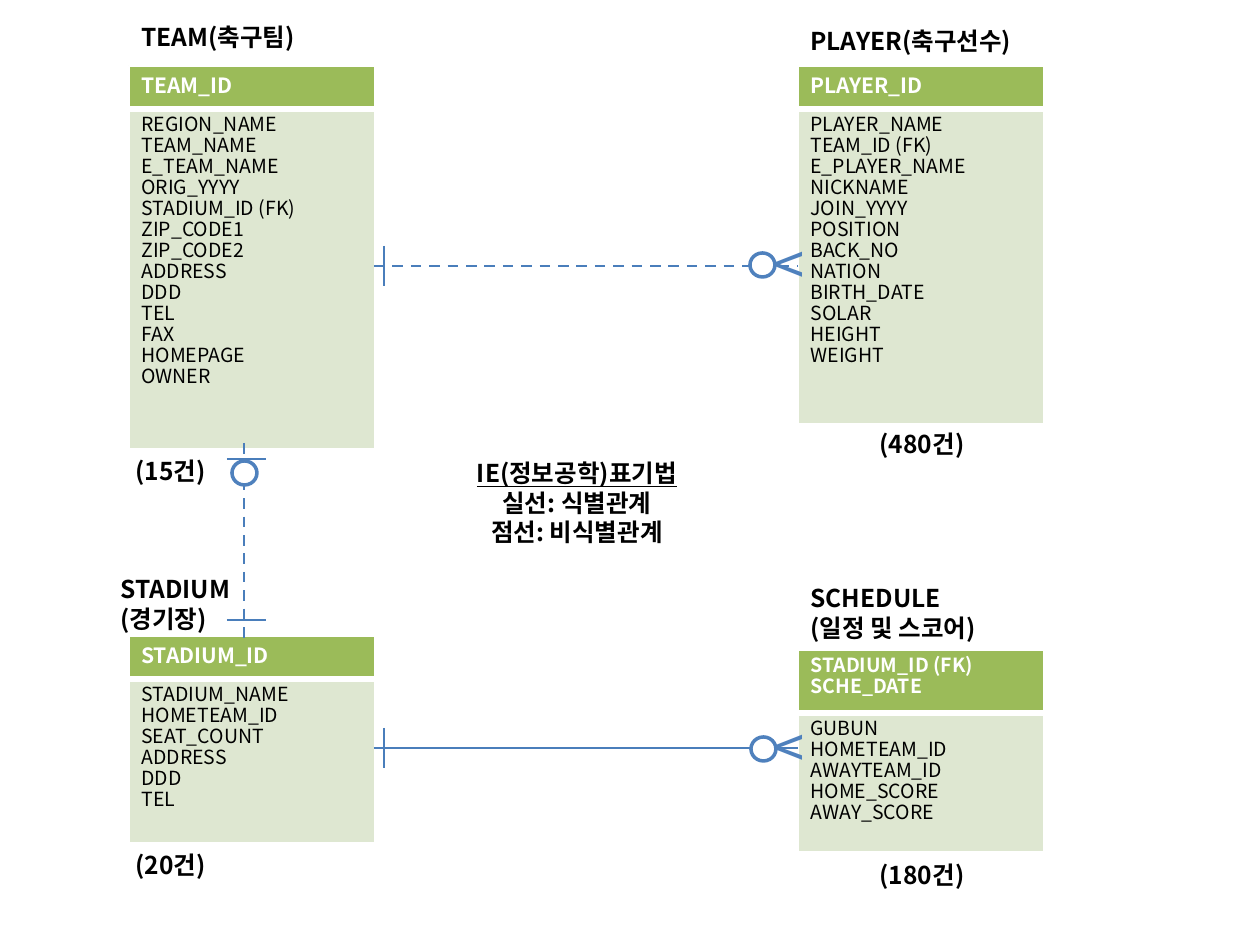
import pptx
import pptx.util
import pptx.dml.color
import pptx.enum.dml
import pptx.enum.shapes
import pptx.enum.text
import pptx.oxml.ns
import lxml.etree

RGB = pptx.dml.color.RGBColor
ALIGN = pptx.enum.text.PP_ALIGN
CONNECTOR = pptx.enum.shapes.MSO_CONNECTOR
SHAPE = pptx.enum.shapes.MSO_SHAPE

EMU_PER_PX = 914400 / 126
FONT = "Noto Sans CJK KR"
BLACK, WHITE = RGB(0, 0, 0), RGB(255, 255, 255)
KEY_GREEN, BODY_GREEN = RGB(0x9B, 0xBB, 0x59), RGB(0xDE, 0xE7, 0xD1)
LINE_BLUE, MARK_BLUE = RGB(0x4A, 0x7E, 0xBB), RGB(0x4F, 0x81, 0xBD)

LEFT, RIGHT, ENTITY_W = 129, 798, 246

ENTITIES = [
    dict(left=LEFT, top=66, key_h=43, body_h=340, key_size=12,
         title=["TEAM(축구팀)"], title_box=(129, 16, 198, 43),
         keys=["TEAM_ID"],
         columns=["REGION_NAME", "TEAM_NAME", "E_TEAM_NAME", "ORIG_YYYY",
                  "STADIUM_ID (FK)", "ZIP_CODE1", "ZIP_CODE2", "ADDRESS",
                  "DDD", "TEL", "FAX", "HOMEPAGE", "OWNER"],
         count="(15건)", count_box=(123, 450, 144, 43), count_align=ALIGN.LEFT),
    dict(left=LEFT, top=636, key_h=43, body_h=164, key_size=12,
         title=["STADIUM", "(경기장)"], title_box=(108, 568, 256, 72),
         keys=["STADIUM_ID"],
         columns=["STADIUM_NAME", "HOMETEAM_ID", "SEAT_COUNT", "ADDRESS",
                  "DDD", "TEL"],
         count="(20건)", count_box=(123, 844, 144, 43), count_align=ALIGN.LEFT),
    dict(left=RIGHT, top=650, key_h=63, body_h=139, key_size=11.1,
         title=["SCHEDULE", "(일정 및 스코어)"], title_box=(798, 577, 270, 72),
         keys=["STADIUM_ID (FK)", "SCHE_DATE"],
         columns=["GUBUN", "HOMETEAM_ID", "AWAYTEAM_ID", "HOME_SCORE",
                  "AWAY_SCORE"],
         count="(180건)", count_box=(808, 854, 228, 43), count_align=ALIGN.CENTER),
    dict(left=RIGHT, top=66, key_h=43, body_h=315, key_size=12,
         title=["PLAYER(축구선수)"], title_box=(798, 20, 270, 43),
         keys=["PLAYER_ID"],
         columns=["PLAYER_NAME", "TEAM_ID (FK)", "E_PLAYER_NAME", "NICKNAME",
                  "JOIN_YYYY", "POSITION", "BACK_NO", "NATION", "BIRTH_DATE",
                  "SOLAR", "HEIGHT", "WEIGHT"],
         count="(480건)", count_box=(808, 423, 228, 43), count_align=ALIGN.CENTER),
]

# (from, to, dashed)
RELATIONS = [
    ((374, 748), (798, 748), False),
    ((374, 266), (798, 266), True),
    ((244, 443), (244, 640), True),
]
ONE_BARS = [
    ((227, 620), (266, 620)),
    ((227, 459), (266, 459)),
    ((384, 728), (384, 768)),
    ((384, 246), (384, 286)),
]
CROW_FEET = [(748, 223), (748, 706)]
ZERO_RINGS = [(750, 253), (751, 737), (232, 461)]

NOTATION = ["IE(정보공학)표기법", "실선: 식별관계", "점선: 비식별관계"]
NOTATION_BOX = (444, 452, 266, 101)


def px(*lengths):
    """Turn pixel lengths into EMU."""
    return [pptx.util.Emu(round(length * EMU_PER_PX)) for length in lengths]


def write(shape, lines, size, color, bold=False, align=ALIGN.LEFT, spacing=None):
    """Fill a shape with one paragraph per line, from the top; return the runs."""
    frame = shape.text_frame
    frame.word_wrap = True
    frame.vertical_anchor = pptx.enum.text.MSO_ANCHOR.TOP
    runs = []
    for index, line in enumerate(lines):
        paragraph = frame.add_paragraph() if index else frame.paragraphs[0]
        paragraph.alignment = align
        if spacing:
            paragraph.line_spacing = spacing
        run = paragraph.add_run()
        run.text = line
        run.font.name, run.font.size = FONT, pptx.util.Pt(size)
        run.font.bold, run.font.color.rgb = bold, color
        east_asian = lxml.etree.SubElement(
            run.font._element, pptx.oxml.ns.qn("a:ea"))
        east_asian.set("typeface", FONT)
        runs.append(run)
    return runs


def add_label(slide, box, lines, size=14, color=BLACK, bold=True, align=ALIGN.LEFT):
    """Add a text box and return its runs."""
    label = slide.shapes.add_textbox(*px(*box))
    return write(label, lines, size, color, bold, align)


def add_block(slide, kind, box, fill, outline=None):
    """Add a filled preset shape, outlined only when a colour is given."""
    block = slide.shapes.add_shape(kind, *px(*box))
    block.shadow.inherit = False
    block.fill.solid()
    block.fill.fore_color.rgb = fill
    if outline is None:
        block.line.fill.background()
    else:
        block.line.color.rgb = outline
        block.line.width = pptx.util.Pt(2)
    return block


def add_line(slide, start, end, color=LINE_BLUE, width=1.5, dashed=False,
             kind=CONNECTOR.STRAIGHT):
    """Add a connector without shadow."""
    line = slide.shapes.add_connector(kind, *px(*start, *end))
    line.line.color.rgb = color
    line.line.width = pptx.util.Pt(width)
    if dashed:
        line.line.dash_style = pptx.enum.dml.MSO_LINE.DASH
    lxml.etree.SubElement(line._element.spPr, pptx.oxml.ns.qn("a:effectLst"))


def add_entity(slide, entity):
    """Draw the key block, the column block and the white rules of an entity."""
    left, top = entity["left"], entity["top"]
    right, split = left + ENTITY_W, top + entity["key_h"]
    bottom = split + entity["body_h"]
    key = add_block(slide, SHAPE.RECTANGLE,
                    (left, top, ENTITY_W, entity["key_h"]), KEY_GREEN)
    write(key, entity["keys"], entity["key_size"], WHITE, bold=True,
          spacing=0.9 if len(entity["keys"]) > 1 else None)
    body = add_block(slide, SHAPE.RECTANGLE,
                     (left, split, ENTITY_W, entity["body_h"]), BODY_GREEN)
    write(body, entity["columns"], 11.1, BLACK, spacing=0.9)
    add_line(slide, (left, split), (right, split), WHITE, 3)
    for x in (left, right):
        add_line(slide, (x, top), (x, bottom), WHITE, 1)
    for y in (top, bottom):
        add_line(slide, (left, y), (right, y), WHITE, 1)


deck = pptx.Presentation()
deck.slide_width, deck.slide_height = px(1260, 945)
slide = deck.slides.add_slide(deck.slide_layouts[6])

for entity in ENTITIES:
    add_label(slide, entity["title_box"], entity["title"])
for entity in ENTITIES:
    add_entity(slide, entity)

for start, end, dashed in RELATIONS:
    add_line(slide, start, end, dashed=dashed, kind=CONNECTOR.ELBOW)
for left, top in CROW_FEET:
    add_label(slide, (left, top, 69, 81), ["<"], 32, MARK_BLUE, False, ALIGN.RIGHT)
for start, end in ONE_BARS:
    add_line(slide, start, end)
for left, top in ZERO_RINGS:
    add_block(slide, SHAPE.OVAL, (left, top, 25, 24), WHITE, MARK_BLUE)

heading, *_ = add_label(slide, NOTATION_BOX, NOTATION, align=ALIGN.CENTER)
heading.font.underline = True
for entity in ENTITIES:
    add_label(slide, entity["count_box"], [entity["count"]],
              align=entity["count_align"])

deck.save("out.pptx")
